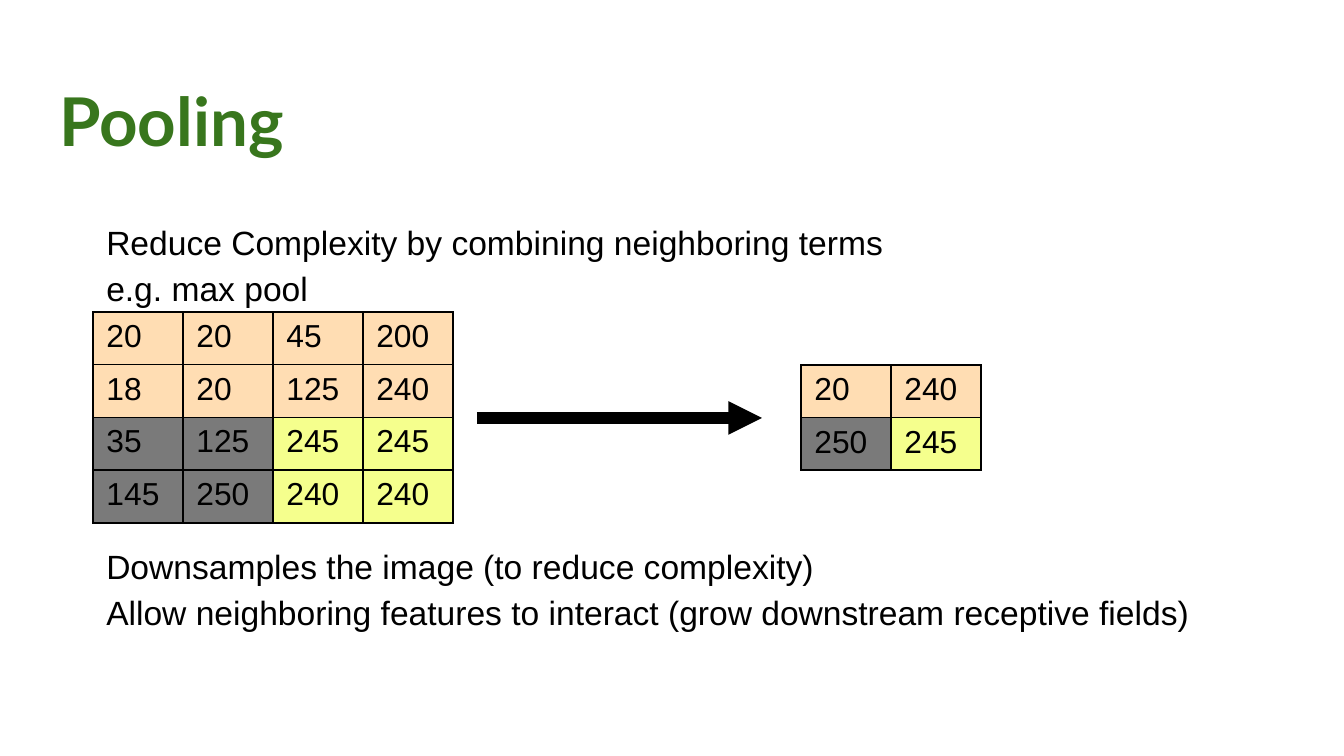
import pptx
import pptx.dml.color
import pptx.enum.shapes
import pptx.enum.text
import pptx.oxml
import pptx.oxml.ns
import pptx.util

EMU_PER_PX = 914400 / 134.4
BLACK, GREEN = "000000", "38761D"
PEACH, GRAY, YELLOW = "FFDDB3", "7A7A7A", "F5FF8D"


def px(*lengths):
    return [pptx.util.Emu(round(length * EMU_PER_PX)) for length in lengths]


def color(value):
    return pptx.dml.color.RGBColor.from_string(value)


class SlideBuilder:
    def __init__(self, presentation):
        self.font = "Arial"
        self.body_size = 18
        self.cell_size = 17
        self.cell_width = 90
        self.slide = presentation.slides.add_slide(presentation.slide_layouts[5])

    def add_run(self, paragraph, text, size, font=None, fill=BLACK, bold=False):
        run = paragraph.add_run()
        run.text = text
        run.font.name = font or self.font
        run.font.size = pptx.util.Pt(size)
        run.font.bold = bold
        run.font.color.rgb = color(fill)

    def format_frame(self, frame):
        frame.word_wrap = True
        frame.auto_size = pptx.enum.text.MSO_AUTO_SIZE.NONE
        frame.vertical_anchor = pptx.enum.text.MSO_ANCHOR.TOP
        inset = pptx.util.Inches(0.1)
        frame.margin_left = frame.margin_right = inset
        frame.margin_top = frame.margin_bottom = inset

    def title(self, text, left, top, width, height):
        shape = self.slide.shapes.title
        shape.left, shape.top, shape.width, shape.height = px(left, top, width, height)
        self.format_frame(shape.text_frame)
        paragraph = shape.text_frame.paragraphs[0]
        paragraph.alignment = pptx.enum.text.PP_ALIGN.LEFT
        self.add_run(paragraph, text, 36, "Lato", GREEN, True)

    def body(self, lines, left, top, width, height):
        frame = self.slide.shapes.add_textbox(*px(left, top, width, height)).text_frame
        self.format_frame(frame)
        for index, (text, space_before) in enumerate(lines):
            paragraph = frame.add_paragraph() if index else frame.paragraphs[0]
            paragraph.line_spacing = 1.15
            paragraph.space_before = pptx.util.Pt(space_before)
            self.add_run(paragraph, text, self.body_size)

    def add_borders(self, cell):
        properties = cell._tc.get_or_add_tcPr()
        for side in ("lnL", "lnR", "lnT", "lnB"):
            properties.append(pptx.oxml.parse_xml(
                f'<a:{side} {pptx.oxml.ns.nsdecls("a")} w="12700"><a:solidFill>'
                f'<a:srgbClr val="{BLACK}"/></a:solidFill></a:{side}>'))

    def grid(self, values, left, top, height):
        row_count, column_count = len(values), len(values[0])
        table = self.slide.shapes.add_table(
            row_count, column_count,
            *px(left, top, column_count * self.cell_width, height)).table
        table.first_row = table.horz_banding = False
        for row, numbers in enumerate(values):
            for column, number in enumerate(numbers):
                cell = table.cell(row, column)
                self.add_borders(cell)
                if row < row_count // 2:
                    fill = PEACH
                else:
                    fill = GRAY if column < column_count // 2 else YELLOW
                cell.fill.solid()
                cell.fill.fore_color.rgb = color(fill)
                self.add_run(cell.text_frame.paragraphs[0], str(number), self.cell_size)

    def arrow(self, left, right, y):
        connector = self.slide.shapes.add_connector(
            pptx.enum.shapes.MSO_CONNECTOR.STRAIGHT, *px(left, y, right, y))
        connector.line.color.rgb = color(BLACK)
        connector.line.width = pptx.util.Pt(6)
        namespace = pptx.oxml.ns.nsdecls("a")
        connector.line._get_or_add_ln().append(
            pptx.oxml.parse_xml(f'<a:tailEnd {namespace} type="triangle"/>'))
        connector._element.spPr.append(
            pptx.oxml.parse_xml(f'<a:effectLst {namespace}/>'))


def main():
    presentation = pptx.Presentation()
    presentation.slide_width, presentation.slide_height = px(1344, 756)
    builder = SlideBuilder(presentation)
    builder.title("Pooling", 46, 66, 1252, 84)
    builder.body([
        ("Reduce Complexity by combining neighboring terms", 0),
        ("e.g. max pool", 0),
        ("Downsamples the image (to reduce complexity)", 124),
        ("Allow neighboring features to interact (grow downstream receptive fields)", 0),
    ], 93, 202, 1158, 554)
    builder.grid([
        [20, 20, 45, 200],
        [18, 20, 125, 240],
        [35, 125, 245, 245],
        [145, 250, 240, 240],
    ], 93, 312, 211)
    builder.grid([[20, 240], [250, 245]], 801, 365, 105)
    builder.arrow(477, 762, 418)
    presentation.save("out.pptx")


if __name__ == "__main__":
    main()
